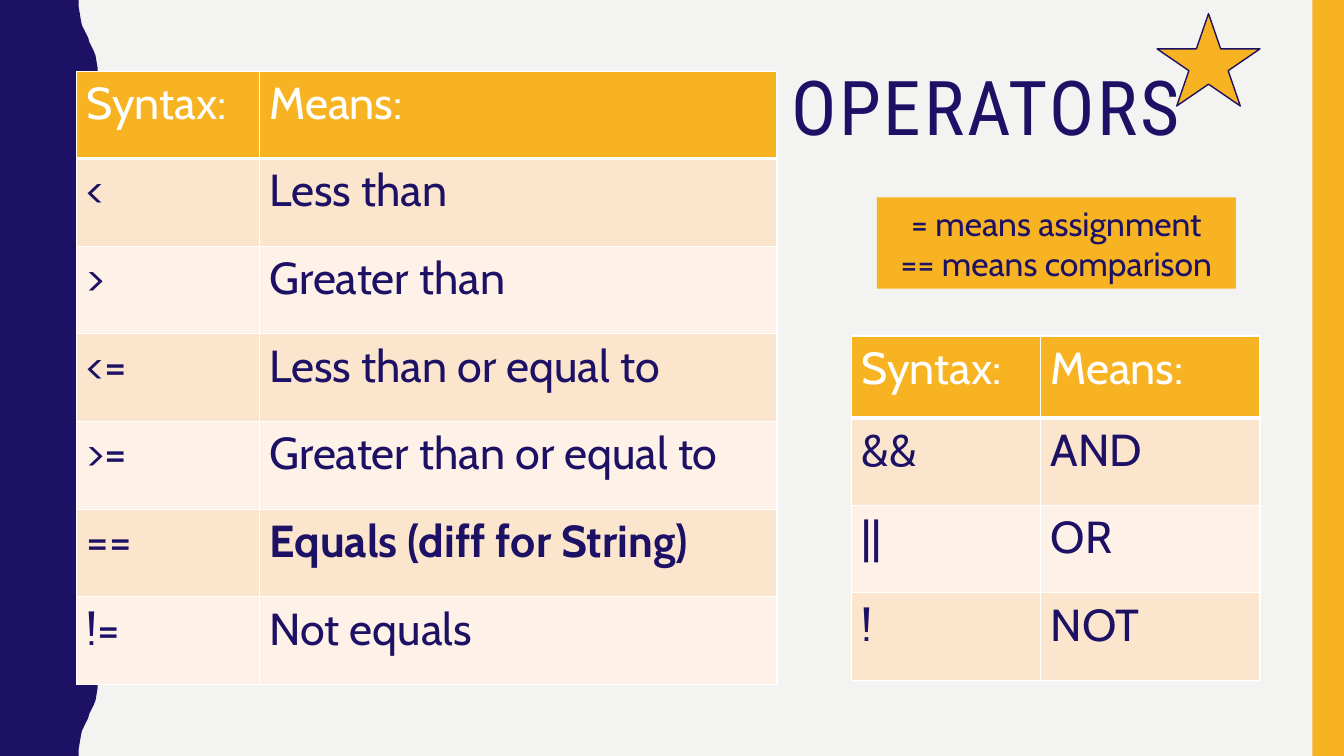
"""Build the slide on Java operators with its two syntax tables."""
from pptx import Presentation
from pptx.dml.color import RGBColor
from pptx.enum.shapes import MSO_SHAPE
from pptx.enum.text import MSO_ANCHOR, MSO_AUTO_SIZE, PP_ALIGN
from pptx.oxml.ns import qn
from pptx.util import Pt
from lxml import etree

RECTANGLE, STAR = MSO_SHAPE.RECTANGLE, MSO_SHAPE.STAR_5_POINT
TOP, MIDDLE = MSO_ANCHOR.TOP, MSO_ANCHOR.MIDDLE
CENTER = PP_ALIGN.CENTER
GROW = MSO_AUTO_SIZE.SHAPE_TO_FIT_TEXT

PAPER = RGBColor(0xF3, 0xF3, 0xF2)
NAVY = RGBColor(0x1D, 0x11, 0x65)
GOLD = RGBColor(0xF8, 0xB3, 0x23)
PEACH = RGBColor(0xFC, 0xE5, 0xCD)
CREAM = RGBColor(0xFE, 0xF2, 0xE8)
WHITE = RGBColor(0xFF, 0xFF, 0xFF)

EMU_PER_PX = 9525
SLIDE_W, SLIDE_H = 1280, 720
BODY_FONT, TITLE_FONT = "Cabin", "Roboto Condensed"

TITLE = "OPERATORS"
REMINDER = ["= means assignment", "== means comparison"]
HEADER = ("Syntax:", "Means:")
EMPHASIZED = "Equals (diff for String)"
OPERATOR_TABLES = [
    {
        "box": (73, 68, 667, 584), "syntax_width": 174, "header_height": 83,
        "rows": [
            ("<", "Less than"),
            (">", "Greater than"),
            ("<=", "Less than or equal to"),
            (">=", "Greater than or equal to"),
            ("==", EMPHASIZED),
            ("!=", "Not equals"),
        ],
    },
    {
        "box": (811, 320, 389, 328), "syntax_width": 180, "header_height": 78,
        "rows": [("&&", "AND"), ("||", "OR"), ("!", "NOT")],
    },
]
WAVE_PERIOD = 144
WAVE_RISE = [(75, 0), (75, 7), (76, 13), (77, 19), (78, 24), (80, 28), (82, 32), (84, 36),
             (85, 40), (87, 44), (89, 48), (91, 53), (92, 59), (93, 65), (93, 72)]


def px(*lengths):
    return [round(length * EMU_PER_PX) for length in lengths]


def paint(shape, fill, outline=None):
    shape.shadow.inherit = False
    shape.fill.solid()
    shape.fill.fore_color.rgb = fill
    if outline is None:
        shape.line.fill.background()
    else:
        shape.line.color.rgb = outline
        shape.line.width = Pt(1)


def write(paragraph, text, size, color=NAVY, font=BODY_FONT, bold=False):
    run = paragraph.add_run()
    run.text = text
    run.font.size = Pt(size)
    run.font.name = font
    run.font.bold = bold
    run.font.color.rgb = color
    return run


def add_border(cell, side, points):
    props = cell._tc.get_or_add_tcPr()
    border = etree.SubElement(props, qn(f"a:ln{side}"), w=str(Pt(points)))
    solid = etree.SubElement(border, qn("a:solidFill"))
    etree.SubElement(solid, qn("a:srgbClr"), val=str(WHITE))


def add_wave(slide):
    fall = [(x, WAVE_PERIOD - y) for x, y in reversed(WAVE_RISE[1:-1])]
    wave = WAVE_RISE + fall
    edge = [(x, y + start) for start in range(0, SLIDE_H, WAVE_PERIOD) for x, y in wave]
    builder = slide.shapes.build_freeform(0, 0, scale=EMU_PER_PX)
    builder.add_line_segments(edge + [(WAVE_RISE[0][0], SLIDE_H), (0, SLIDE_H)], close=True)
    paint(builder.convert_to_shape(), NAVY)


def add_title(slide):
    frame = slide.shapes.add_textbox(*px(702, 62, 474, 105)).text_frame
    frame.word_wrap = True
    frame.vertical_anchor = TOP
    heading = frame.paragraphs[0]
    heading.alignment = CENTER
    heading.line_spacing = 0.9
    run = write(heading, TITLE, 54, font=TITLE_FONT)
    run.font._element.set("spc", "200")


def add_operator_table(slide, box, syntax_width, header_height, rows):
    lines = [HEADER] + rows
    table = slide.shapes.add_table(len(lines), len(HEADER), *px(*box)).table
    table.first_row = table.horz_banding = False
    for column, width in zip(table.columns, px(syntax_width, box[2] - syntax_width)):
        column.width = width
    body_height = (box[3] - header_height) / len(rows)
    heights = px(header_height, *[body_height] * len(rows))
    for r, line in enumerate(lines):
        table.rows[r].height = heights[r]
        is_header = r == 0
        fill = GOLD if is_header else (PEACH if r % 2 else CREAM)
        for c, text in enumerate(line):
            cell = table.cell(r, c)
            for side in "LRTB":
                add_border(cell, side, 3 if is_header and side == "B" else 1)
            cell.fill.solid()
            cell.fill.fore_color.rgb = fill
            write(cell.text_frame.paragraphs[0], text, 32,
                  WHITE if is_header else NAVY, bold=text == EMPHASIZED)


def add_reminder(slide):
    reminder = slide.shapes.add_shape(RECTANGLE, *px(835, 188, 342, 87))
    paint(reminder, GOLD)
    frame = reminder.text_frame
    frame.word_wrap = True
    frame.auto_size = GROW
    frame.vertical_anchor = MIDDLE
    for i, text in enumerate(REMINDER):
        paragraph = frame.add_paragraph() if i else frame.paragraphs[0]
        paragraph.alignment = CENTER
        write(paragraph, text, 24)


def main():
    deck = Presentation()
    deck.slide_width, deck.slide_height = px(SLIDE_W, SLIDE_H)
    slide = deck.slides.add_slide(deck.slide_layouts[6])
    slide.background.fill.solid()
    slide.background.fill.fore_color.rgb = PAPER

    add_wave(slide)
    paint(slide.shapes.add_shape(RECTANGLE, *px(1250, 0, 30, SLIDE_H)), GOLD)
    add_title(slide)
    for operator_table in OPERATOR_TABLES:
        add_operator_table(slide, **operator_table)
    add_reminder(slide)
    paint(slide.shapes.add_shape(STAR, *px(1102, 13, 98, 88)), GOLD, NAVY)
    deck.save("out.pptx")


if __name__ == "__main__":
    main()
